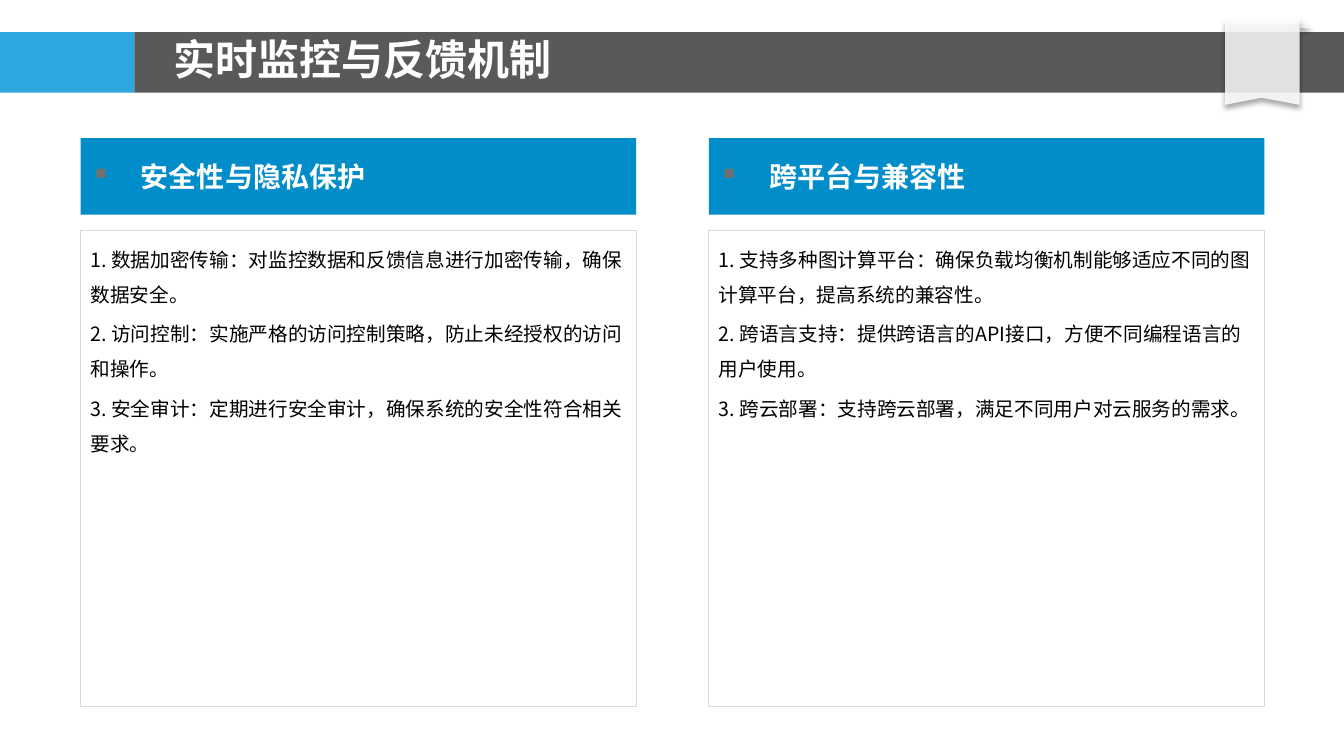
from lxml.etree import SubElement
from pptx import Presentation
from pptx.dml.color import RGBColor
from pptx.enum.shapes import MSO_SHAPE
from pptx.enum.text import MSO_ANCHOR, MSO_AUTO_SIZE, PP_ALIGN
from pptx.oxml.ns import qn
from pptx.util import Inches, Pt

COLUMNS = [
    (6, "安全性与隐私保护", [
        "1. 数据加密传输：对监控数据和反馈信息进行加密传输，确保数据安全。",
        "2. 访问控制：实施严格的访问控制策略，防止未经授权的访问和操作。",
        "3. 安全审计：定期进行安全审计，确保系统的安全性符合相关要求。",
    ]),
    (52.74, "跨平台与兼容性", [
        "1. 支持多种图计算平台：确保负载均衡机制能够适应不同的图计算平台，提高系统的兼容性。",
        "2. 跨语言支持：提供跨语言的API接口，方便不同编程语言的用户使用。",
        "3. 跨云部署：支持跨云部署，满足不同用户对云服务的需求。",
    ]),
]
COLUMN_WIDTH = 41.33
RIBBON = [(91.15, 13.87), (91.15, 2.67), (96.7, 2.67), (96.7, 13.87), (93.85, 12.93)]


def color(code):
    """Turn a hex string into a colour."""
    return RGBColor.from_string(code)


def apply(target, values):
    """Set every attribute named in a dict of format values."""
    for name, value in values.items():
        setattr(target, name, value)


class SlideBuilder:
    """Hold the style and the slide; lengths are percentages of the slide."""

    font = "Noto Sans CJK SC"
    title = {"size": Pt(30), "bold": True}
    heading = {"size": Pt(20), "bold": True}
    body = {"size": Pt(14), "bold": False}

    def __init__(self, deck):
        """Add a title-only page to the deck."""
        self.deck = deck
        self.page = deck.slides.add_slide(deck.slide_layouts[5])

    def point(self, across, down):
        """Convert a pair of percentages to slide lengths."""
        return (round(self.deck.slide_width * across / 100),
                round(self.deck.slide_height * down / 100))

    def paint(self, shape, fill=None, line=None, opacity=100):
        """Give a shape its fill, outline and opacity."""
        shape.shadow.inherit = False
        if fill:
            shape.fill.solid()
            shape.fill.fore_color.rgb = color(fill)
            if opacity < 100:
                tint = shape.element.spPr.find(".//" + qn("a:srgbClr"))
                SubElement(tint, qn("a:alpha"), val=str(opacity * 1000))
        else:
            shape.fill.background()
        if line:
            shape.line.color.rgb = color(line)
            shape.line.width = Pt(0.75)
        else:
            shape.line.fill.background()
        return shape

    def box(self, left, top, width, height, kind=MSO_SHAPE.RECTANGLE, **paint):
        """Draw a preset shape."""
        shape = self.page.shapes.add_shape(
            kind, *self.point(left, top), *self.point(width, height))
        return self.paint(shape, **paint)

    def outline(self, corners, **paint):
        """Draw a closed shape through the corners."""
        start, *others = [self.point(*corner) for corner in corners]
        builder = self.page.shapes.build_freeform(*start, scale=1.0)
        builder.add_line_segments(others, close=True)
        return self.paint(builder.convert_to_shape(), **paint)

    def cast_shadow(self, shape):
        """Add a soft shadow below a shape."""
        effects = shape.element.spPr.find(qn("a:effectLst"))
        shadow = SubElement(effects, qn("a:outerShdw"), blurRad=str(Pt(4)),
                            dist=str(Pt(3)), dir="5400000", rotWithShape="0")
        tint = SubElement(shadow, qn("a:srgbClr"), val="000000")
        SubElement(tint, qn("a:alpha"), val="40000")

    def add_text(self, shape, lines, style, ink, frame, paragraph):
        """Put paragraphs in a shape and return them."""
        apply(shape.text_frame, {"word_wrap": True, "auto_size": MSO_AUTO_SIZE.NONE, **frame})
        for index, line in enumerate(lines):
            para = shape.text_frame.add_paragraph() if index else shape.text_frame.paragraphs[0]
            apply(para, {"alignment": PP_ALIGN.LEFT, **paragraph})
            span = para.add_run()
            span.text = line
            apply(span.font, {"name": self.font, **style})
            span.font.color.rgb = color(ink)
            SubElement(span._r.get_or_add_rPr(), qn("a:ea"), typeface=self.font)
        return shape.text_frame.paragraphs

    def bullet(self, para):
        """Give a paragraph a grey square bullet and a hanging indent."""
        properties = para._p.get_or_add_pPr()
        properties.set("marL", str(Inches(0.5)))
        properties.set("indent", str(Inches(-0.5)))
        tint = SubElement(properties, qn("a:buClr"))
        SubElement(tint, qn("a:srgbClr"), val="6F7170")
        SubElement(properties, qn("a:buChar"), char="▪")

    def banner(self, text):
        """Draw the title band, its ribbon and the title."""
        self.box(0, 4.27, 10, 8, fill="2EA7E0")
        self.box(10, 4.27, 90, 8, fill="595959")
        self.cast_shadow(self.box(96.7, 2.4, 0.9, 1.33, MSO_SHAPE.RIGHT_TRIANGLE,
                                  fill="F8F8F8", opacity=85))
        self.cast_shadow(self.outline(RIBBON, fill="FFFFFF", opacity=85))
        title = self.page.shapes.title
        title.element.getparent().append(title.element)
        left, top = self.point(12.15, 4)
        width, height = self.point(87.85, 7.6)
        apply(title, {"left": left, "top": top, "width": width, "height": height})
        frame = {"vertical_anchor": MSO_ANCHOR.MIDDLE, "margin_left": Inches(0.1),
                 "margin_right": 0, "margin_top": 0, "margin_bottom": 0}
        self.add_text(title, [text], self.title, "FFFFFF", frame, {})

    def column(self, left, heading, lines):
        """Draw a heading bar with its text panel below."""
        bar = self.box(left, 18.27, COLUMN_WIDTH, 10.13, fill="008DCA")
        paragraphs = self.add_text(bar, [heading], self.heading, "FFFFFF",
                                   {"vertical_anchor": MSO_ANCHOR.MIDDLE},
                                   {"space_before": Pt(4)})
        self.bullet(paragraphs[0])
        panel = self.box(left, 30.53, COLUMN_WIDTH, 62.93, line="D9D9D9")
        self.add_text(panel, lines, self.body, "000000", {"vertical_anchor": MSO_ANCHOR.TOP},
                      {"line_spacing": 1.5, "space_before": Pt(2.8)})


def main():
    """Build and save the deck."""
    deck = Presentation()
    apply(deck, {"slide_width": Inches(13.33), "slide_height": Inches(7.5)})
    builder = SlideBuilder(deck)
    builder.banner("实时监控与反馈机制")
    for left, heading, lines in COLUMNS:
        builder.column(left, heading, lines)
    deck.save("out.pptx")


if __name__ == "__main__":
    main()
